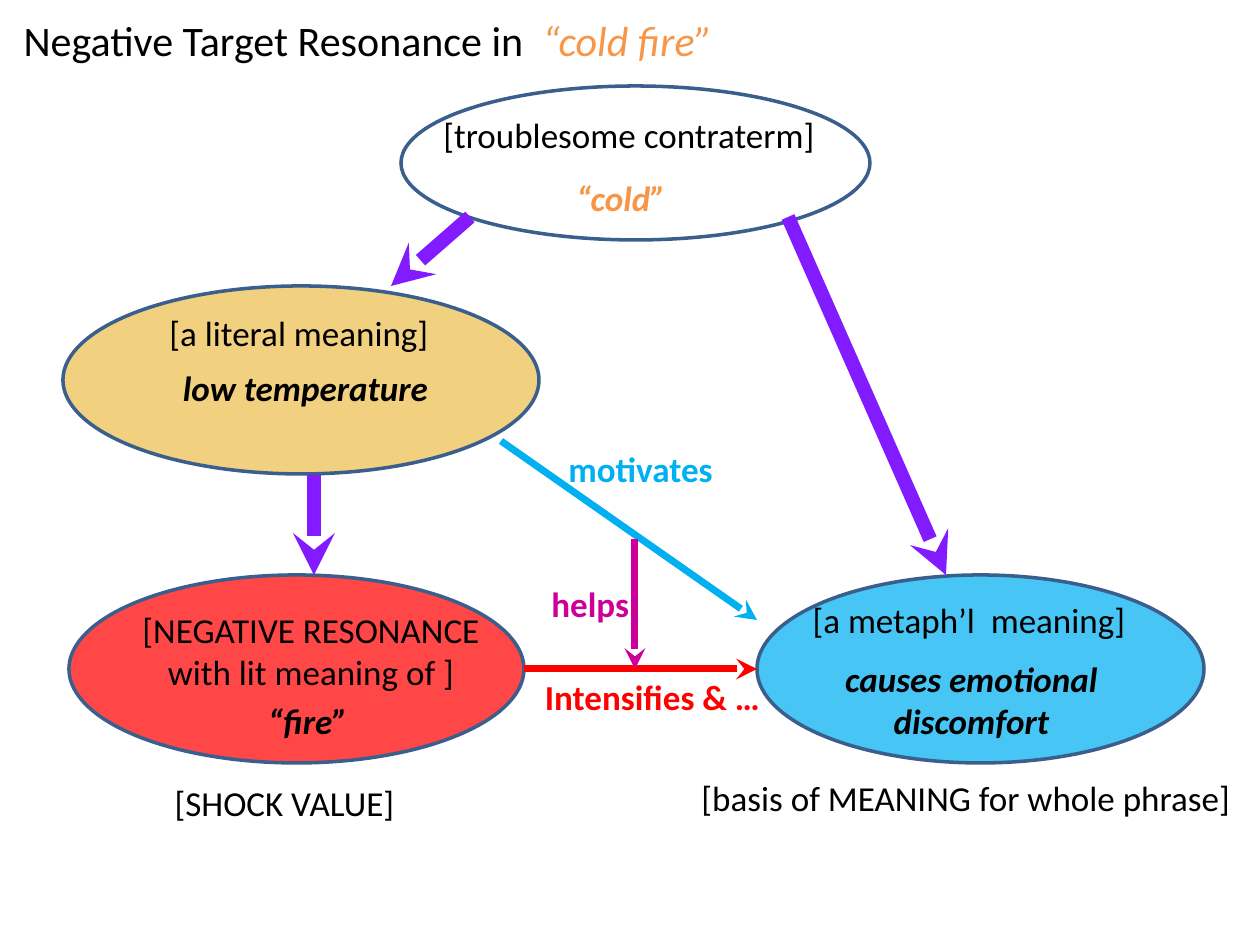
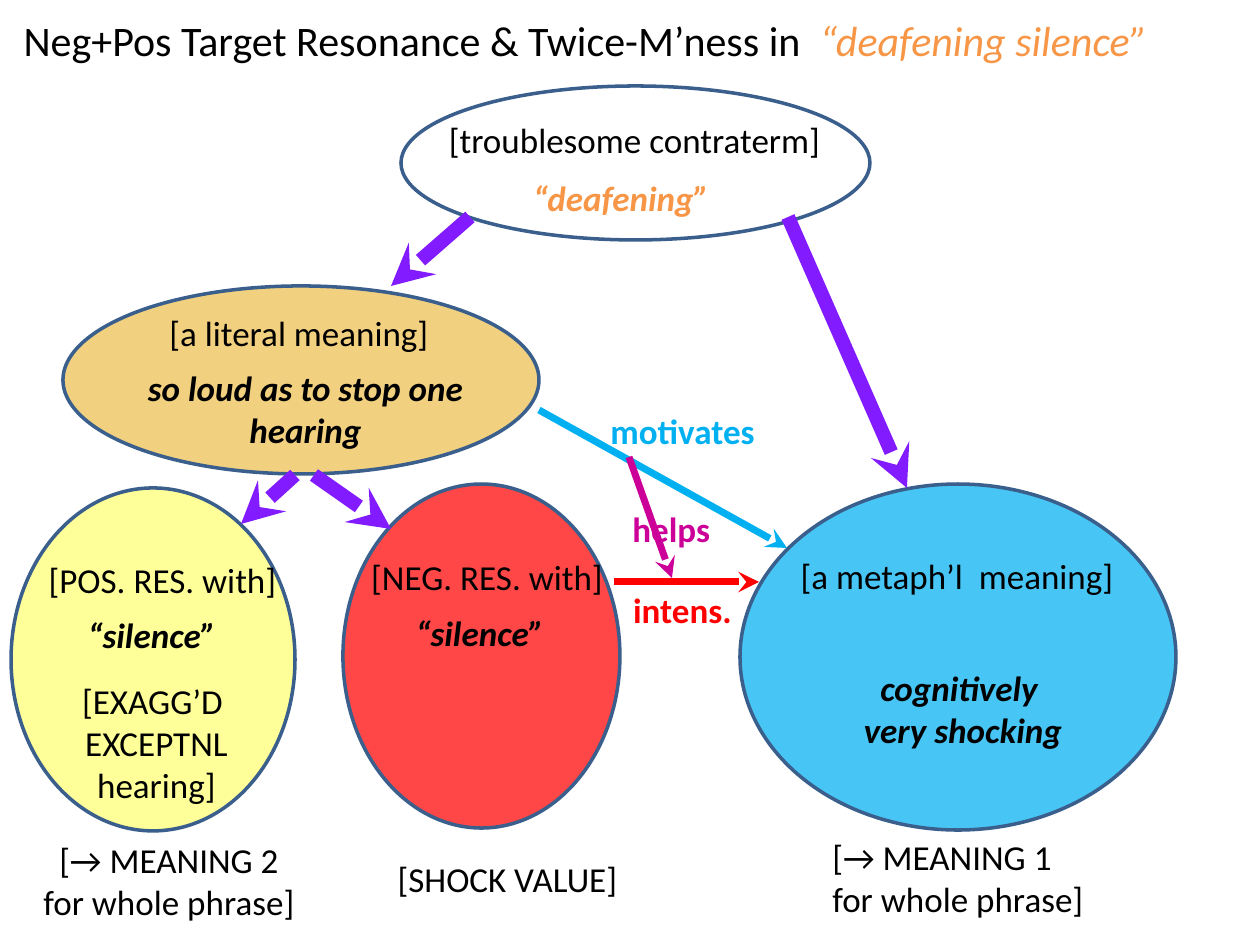
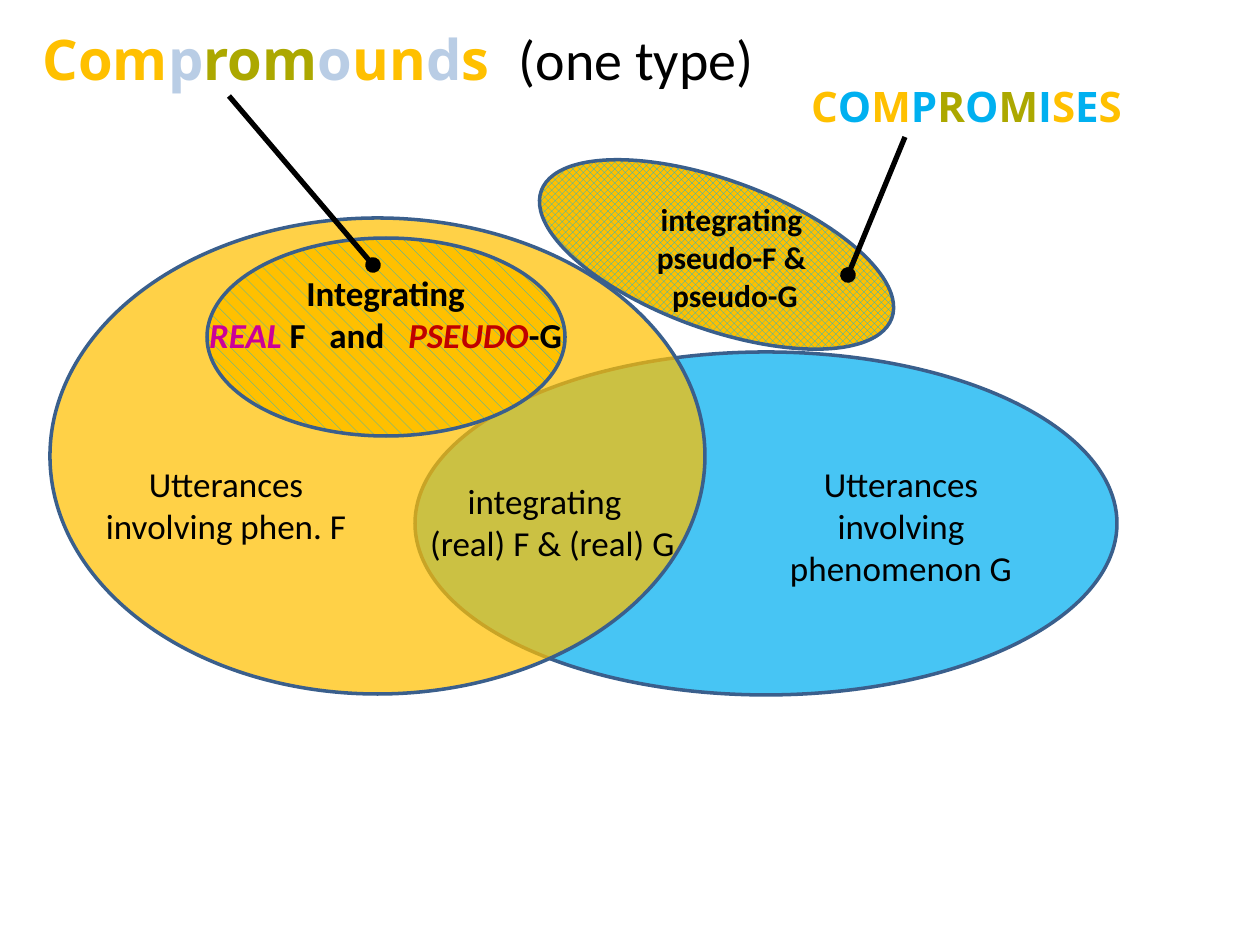
"""Build three diagram slides on contraterms and compromounds."""
from dataclasses import dataclass, replace

from pptx import Presentation, util as u
from pptx.dml.color import RGBColor
from pptx.enum import dml, shapes, text
from pptx.oxml import ns, xmlchemy as xml

SCALE = 914400 / 126


@dataclass(frozen=True)
class Look:
    """Hold the type style of a stretch of text."""
    size: int = 20
    color: str = "000000"
    bold: bool = False
    ital: bool = False
    font: str = "Calibri"


class Theme:
    """Hold the shared colours, type styles and line widths."""
    edge, black, orange = "3A5F8C", "000000", "F79646"
    sand, red, blue, lemon = "ECBF4E", "FF0000", "00B0F0", "FFFF99"
    purple, pink, gold, olive = "821BFF", "CC0099", "FFC000", "ACA800"
    pale, wine = "B9CDE5", "C00000"
    alpha = 72
    rim, thick, mid, thin = 2, 8, 4, 3
    body = Look()
    bold = Look(bold=True)
    word = Look(bold=True, ital=True)
    key = replace(word, color=orange)
    small = replace(bold, size=18)
    head = Look(size=24)
    accent = Look(size=24, color=orange, ital=True)
    caps = Look(size=24, bold=True, font="Open Sans")
    logo = replace(caps, size=32)
    plain = Look(size=32)


T = Theme


def px(num):
    """Turn px into EMU."""
    return u.Emu(round(num * SCALE))


def place(shape, box):
    """Move a shape to a box in px."""
    shape.left, shape.top, shape.width, shape.height = map(px, box)


def shift(box, part):
    """Return a part's box, offset by the corner of its parent."""
    return box[0] + part[0], box[1] + part[1], *part[2:]


def dress(font, look):
    """Apply a look to a font."""
    font.name, font.size = look.font, u.Pt(look.size)
    font.bold, font.italic = look.bold, look.ital
    font.color.rgb = RGBColor.from_string(look.color)


def write(frame, lines, look, align):
    """Fill a frame with lines, each a string or a list of (text, look) runs."""
    frame.word_wrap = True
    frame.vertical_anchor = text.MSO_ANCHOR.TOP
    for i, line in enumerate(lines):
        para = frame.add_paragraph() if i else frame.paragraphs[0]
        para.alignment = align
        if isinstance(line, str):
            para.add_run().text = line
            dress(para.font, look)
            continue
        for part, style in line:
            run = para.add_run()
            run.text = part
            dress(run.font, style)


def note(slide, box, words, look=T.body, align=text.PP_ALIGN.CENTER):
    """Add a text box; a string is split into paragraphs at line breaks."""
    lines = words.split("\n") if isinstance(words, str) else words
    frame = slide.shapes.add_textbox(*map(px, box)).text_frame
    write(frame, lines, look, align)


def start(deck, box, runs):
    """Add a slide and set its title."""
    slide = deck.slides.add_slide(deck.slide_layouts[5])
    title = slide.shapes.title
    place(title, box)
    write(title.text_frame, [runs], T.head, text.PP_ALIGN.LEFT)
    title.text_frame.auto_size = text.MSO_AUTO_SIZE.NONE
    return slide


def node(slide, box, fill, notes, alpha=T.alpha, grain=None, turn=0):
    """Draw an ellipse and its notes, placed from its corner."""
    oval = slide.shapes.add_shape(shapes.MSO_SHAPE.OVAL, *map(px, box))
    oval.shadow.inherit = False
    oval.rotation = turn
    oval.line.color.rgb = RGBColor.from_string(T.edge)
    oval.line.width = u.Pt(T.rim)
    if grain:
        oval.fill.patterned()
        oval.fill.pattern = grain
        oval.fill.fore_color.rgb = RGBColor.from_string(T.blue)
        oval.fill.back_color.rgb = RGBColor.from_string(fill)
    elif fill:
        oval.fill.solid()
        oval.fill.fore_color.rgb = RGBColor.from_string(fill)
        if alpha < 100:
            color = oval._element.spPr.find(ns.qn("a:solidFill"))[0]
            add(color, "a:alpha", val=alpha * 1000)
    else:
        oval.fill.background()
    for part, *rest in notes:
        note(slide, shift(box, part), *rest)


def add(parent, tag, **attrs):
    """Append an XML child with attributes."""
    child = xml.OxmlElement(tag)
    for key, val in attrs.items():
        child.set(key, str(val))
    parent.append(child)


def link(slide, ends, color, width, tip="stealth"):
    """Draw a straight line with a tip at its end."""
    line = slide.shapes.add_connector(
        shapes.MSO_CONNECTOR.STRAIGHT, *map(px, ends))
    line.line.color.rgb = RGBColor.from_string(color)
    line.line.width = u.Pt(width)
    add(line.line._get_or_add_ln(), "a:tailEnd", type=tip)
    add(line._element.spPr, "a:effectLst")


def tie(slide, ends, color, part, words, align=text.PP_ALIGN.CENTER):
    """Draw a link with a label placed from its start."""
    link(slide, ends, color, T.mid)
    note(slide, shift(ends, part), words, replace(T.bold, color=color), align)


def chart(deck, width, head, phrase, term, word, sense, nodes, paths, ties):
    """Build a slide that maps the senses of a contraterm."""
    slide = start(deck, (11, 8, width, 63),
                  [(head, T.head), (phrase, T.accent)])
    node(slide, (401, 86, 469, 154), None, [
        (term, "[troublesome contraterm]"),
        ((116, 84, 208, 55), word, T.key)])
    node(slide, (63, 286, 476, 188), T.sand, [
        ((79, 19, 314, 55), "[a literal meaning]"),
        ((59, 74, 367, 97), sense, T.word)])
    for item in nodes:
        node(slide, *item)
    for ends in [(470, 217, 391, 286), *paths]:
        link(slide, ends, T.purple, T.thick)
    for item in ties:
        tie(slide, *item)


def cold(deck):
    """Build the slide on cold fire."""
    chart(
        deck, 764, "Negative Target Resonance in  ", "“cold fire”",
        (22, 21, 412, 55), "“cold”", "low temperature",
        [((757, 575, 447, 188), T.blue, [
            ((27, 17, 370, 55), "[a metaph’l  meaning]"),
            ((31, 76, 367, 97), "causes emotional discomfort", T.word),
            ((-85, 195, 580, 55), " [basis of MEANING for whole phrase]")]),
         ((69, 575, 455, 188), T.red, [
             ((49, 27, 386, 97), "[NEGATIVE RESONANCE with lit meaning of ]"),
             ((126, 118, 226, 55), "“fire”", T.word),
             ((70, 200, 291, 55), "[SHOCK VALUE]")])],
        [(788, 217, 946, 575), (314, 475, 314, 575)],
        [((501, 441, 757, 620), T.blue, (23, 0, 233, 55), "motivates"),
         ((524, 669, 757, 669), T.red, (-55, 0, 367, 55), "Intensifies & …"),
         ((635, 539, 635, 669), T.pink, (-96, 37, 105, 55), "helps",
          text.PP_ALIGN.LEFT)])


def deaf(deck):
    """Build the slide on deafening silence."""
    chart(
        deck, 1213, "Neg+Pos Target Resonance & Twice-M’ness in  ",
        "“deafening silence”", (21, 26, 425, 55), "“deafening”",
        "so loud as to stop one hearing",
        [((740, 484, 436, 346), T.blue, [
            ((32, 64, 370, 55), "[a metaph’l  meaning]"),
            ((20, 176, 398, 97), "cognitively\n very shocking", T.word),
            ((80, 345, 290, 97), "[→ MEANING 1 for whole phrase]", T.body,
             text.PP_ALIGN.LEFT)]),
         ((343, 484, 277, 344), T.red, [
             ((-49, 65, 386, 55), "[NEG. RES. with]"),
             ((48, 121, 178, 55), "“silence”", T.word),
             ((19, 367, 291, 55), "[SHOCK VALUE]")]),
         ((11, 488, 284, 343), T.lemon, [
             ((-11, 64, 325, 55), "[POS. RES. with]"),
             ((52, 119, 178, 55), "“silence”", T.word),
             ((8, 185, 275, 140), "[EXAGG’D \nEXCEPTNL\nhearing]"),
             ((13, 344, 290, 97), "[→ MEANING 2 for whole phrase]")], 100)],
        [(788, 217, 907, 488), (314, 475, 391, 529), (295, 475, 241, 524)],
        [((539, 410, 787, 548), T.blue, (27, -7, 233, 55), "motivates"),
         ((614, 582, 759, 582), T.red, (0, 0, 137, 55), "intens."),
         ((629, 457, 672, 578), T.pink, (-9, 44, 103, 55), "helps",
          text.PP_ALIGN.LEFT)])


def tint(look, *pairs):
    """Return runs of one look in varied colours."""
    return [(part, replace(look, color=color)) for part, color in pairs]


def blend(deck):
    """Build the slide on compromounds and compromises."""
    slide = start(deck, (30, 18, 759, 81), tint(
        T.logo, ("Com", T.gold), ("p", T.pale), ("rom", T.olive),
        ("o", T.pale), ("un", T.gold), ("d", T.pale), ("s  ", T.gold),
    ) + [("(one type)", T.plain)])
    node(slide, (415, 352, 702, 343), T.blue, [
        ((352, 104, 268, 140), "Utterances involving phenomenon G")])
    node(slide, (50, 218, 655, 476), T.gold, [
        ((42, 238, 268, 97), "Utterances involving phen. F"),
        ((346, 255, 297, 97), "integrating\n  (real) F & (real) G")])
    real = replace(T.word, color=T.pink)
    fake = replace(T.word, color=T.wine)
    node(slide, (207, 238, 358, 198), T.gold, [
        ((-13, 27, 383, 97), [
            [("Integrating", T.bold)],
            [("REAL", real), (" F   and   ", T.bold),
             ("PSEUDO", fake), ("-G", T.bold)]])],
         grain=dml.MSO_PATTERN.SHINGLE)
    node(slide, (530, 180, 373, 149), T.gold, [
        ((32, 14, 339, 127), "integrating\npseudo-F &\n pseudo-G", T.small)],
         grain=dml.MSO_PATTERN.OUTLINED_DIAMOND, turn=20)
    hues = {"F": T.gold, "G": T.blue, "B": T.olive}
    note(slide, (789, 74, 355, 63), [tint(T.caps, *(
        (char, hues[hue]) for char, hue in zip("COMPROMISES", "FGFGBGBGFGF")))])
    for ends in [(905, 137, 848, 275), (229, 96, 373, 265)]:
        link(slide, ends, T.black, T.thin, "oval")


def main():
    """Build and save the deck."""
    deck = Presentation()
    deck.slide_width, deck.slide_height = px(1260), px(945)
    for build in (cold, deaf, blend):
        build(deck)
    deck.save("out.pptx")


if __name__ == "__main__":
    main()
